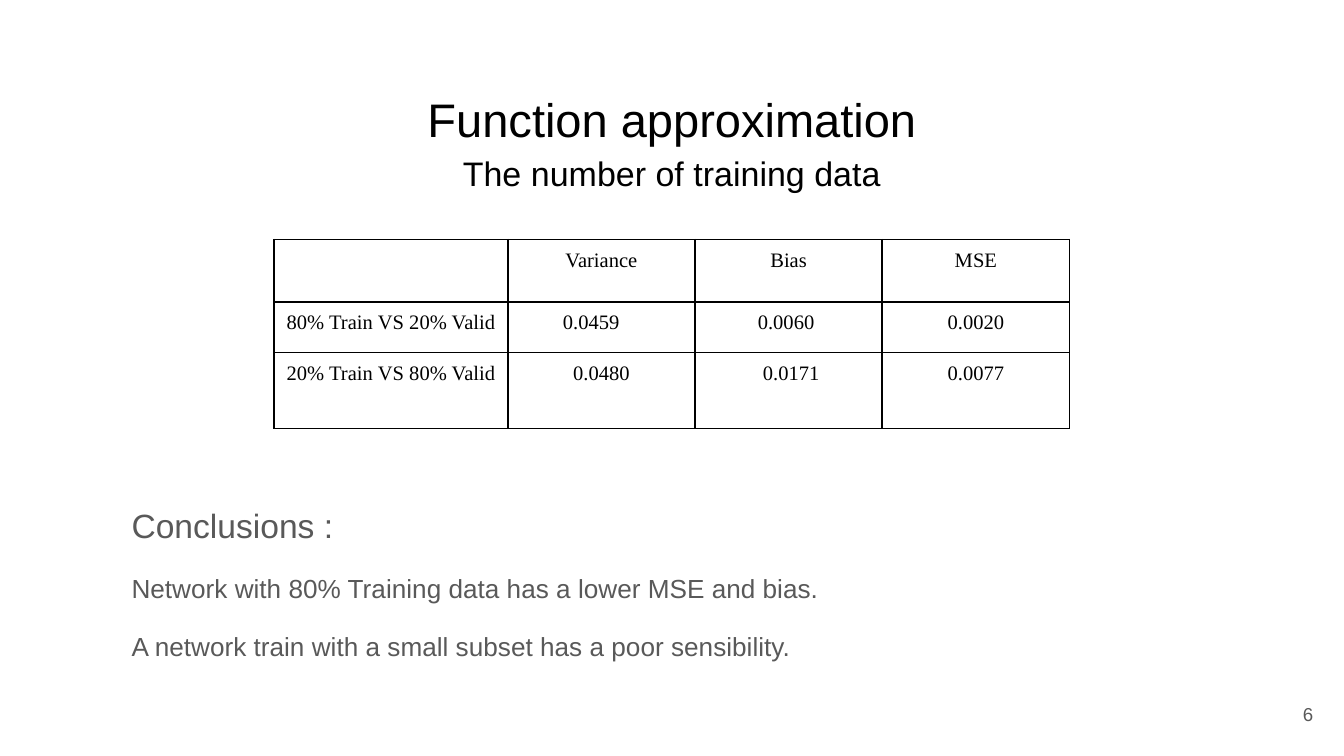
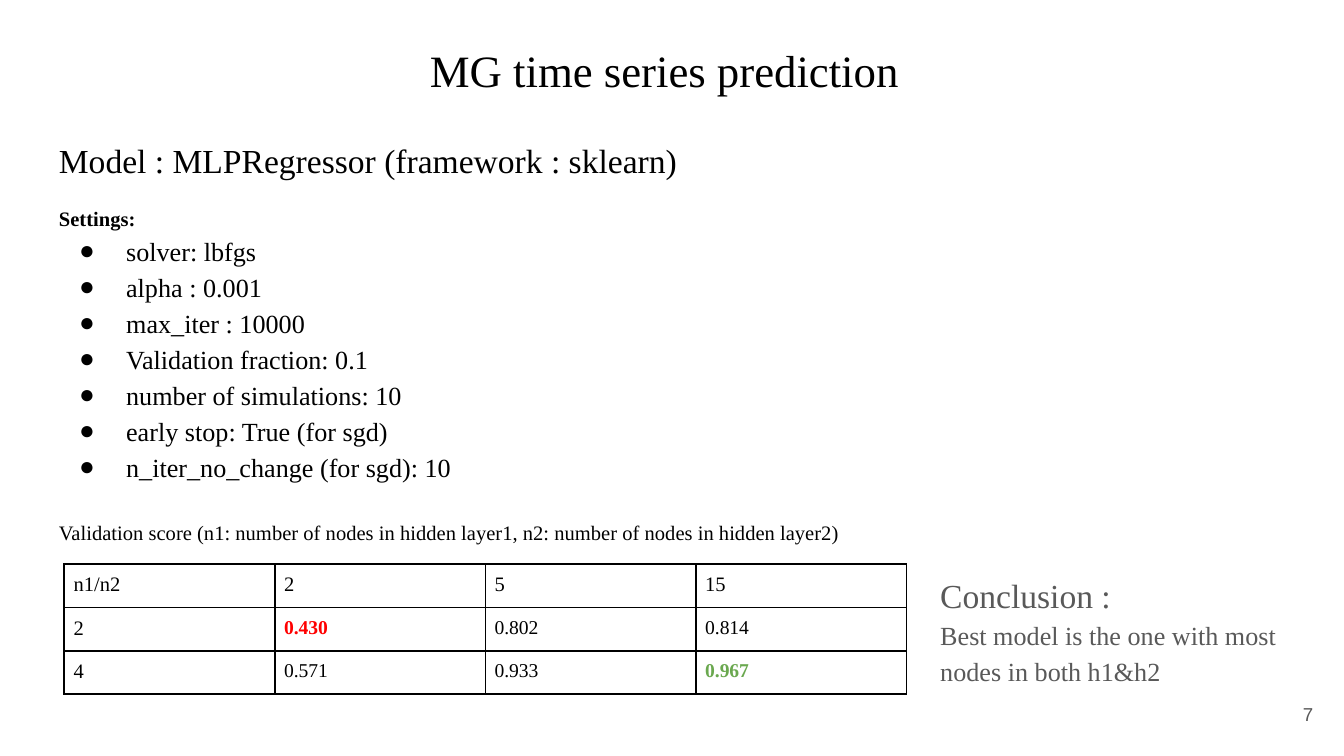
from dataclasses import dataclass, field

from lxml import etree
from pptx import Presentation
from pptx.dml.color import RGBColor
from pptx.enum.text import MSO_ANCHOR as Anchor, PP_ALIGN as Align
from pptx.oxml.ns import qn
from pptx.util import Pt

COLORS = {"text": "000000", "muted": "595959", "page": "FFFFFF",
          "border": "000000", "worst": "FF0000", "best": "6AA84F"}
SANS, SERIF = "Arial", "Times New Roman"
BOX_INSET = 7.2
CELL_INSET = 5


@dataclass
class Line:
    """One paragraph with its format."""
    text: str
    size: float
    font: str = SERIF
    color: str = "text"
    bold: bool = False
    align: Align = Align.LEFT
    spacing: float = 1.15
    before: float = 0
    after: float = 0
    bullet: bool = False


@dataclass
class Cell:
    """A table cell; the pads shift its text sideways."""
    line: Line
    left_pad: float = 0
    right_pad: float = 0


@dataclass
class Grid:
    """Place and track sizes of a table, in points."""
    left: float
    top: float
    columns: list[float]
    rows: list[float]
    cells: list[list[Cell]] = field(default_factory=list)


def rgb(name: str) -> RGBColor:
    return RGBColor.from_string(COLORS[name])


def add_bullet(paragraph, color: str) -> None:
    properties = paragraph._p.get_or_add_pPr()
    properties.set("marL", str(Pt(36)))
    properties.set("indent", str(-Pt(25.2)))
    bullet_color = etree.SubElement(properties, qn("a:buClr"))
    etree.SubElement(bullet_color, qn("a:srgbClr"), val=COLORS[color])
    etree.SubElement(properties, qn("a:buFont"), typeface=SERIF)
    etree.SubElement(properties, qn("a:buChar"), char="●")


def write_line(paragraph, line: Line) -> None:
    paragraph.alignment = line.align
    paragraph.line_spacing = line.spacing
    paragraph.space_before = Pt(line.before)
    paragraph.space_after = Pt(line.after)
    if line.bullet:
        add_bullet(paragraph, line.color)
    if not line.text:
        return
    run = paragraph.add_run()
    run.text = line.text
    run.font.name = line.font
    run.font.size = Pt(line.size)
    run.font.bold = line.bold
    run.font.color.rgb = rgb(line.color)


def add_text(slide, text: str | list[Line], *, left: float, top: float,
             width: float, height: float, anchor: Anchor = Anchor.TOP,
             **line_format) -> None:
    """Add a text box from one string with its format, or from ready lines."""
    shape = slide.shapes.add_textbox(Pt(left), Pt(top), Pt(width), Pt(height))
    frame = shape.text_frame
    frame.word_wrap = True
    frame.vertical_anchor = anchor
    frame.margin_left = frame.margin_right = Pt(BOX_INSET)
    frame.margin_top = frame.margin_bottom = Pt(BOX_INSET)
    lines = [Line(text, **line_format)] if isinstance(text, str) else text
    for index, line in enumerate(lines):
        paragraph = frame.add_paragraph() if index else frame.paragraphs[0]
        write_line(paragraph, line)


def border_cell(cell) -> None:
    properties = cell._tc.get_or_add_tcPr()
    for position, side in enumerate(("a:lnL", "a:lnR", "a:lnT", "a:lnB")):
        border = etree.Element(qn(side), w=str(Pt(1)))
        fill = etree.SubElement(border, qn("a:solidFill"))
        etree.SubElement(fill, qn("a:srgbClr"), val=COLORS["border"])
        properties.insert(position, border)


def add_grid(slide, grid: Grid) -> None:
    frame = slide.shapes.add_table(
        len(grid.rows), len(grid.columns), Pt(grid.left), Pt(grid.top),
        Pt(sum(grid.columns)), Pt(sum(grid.rows)))
    table = frame.table
    table.first_row = table.horz_banding = False
    for column, width in zip(table.columns, grid.columns):
        column.width = Pt(width)
    for row, height, contents in zip(table.rows, grid.rows, grid.cells):
        row.height = Pt(height)
        for cell, content in zip(row.cells, contents):
            cell.fill.background()
            cell.margin_top = cell.margin_bottom = Pt(CELL_INSET)
            cell.margin_left = Pt(CELL_INSET + content.left_pad)
            cell.margin_right = Pt(CELL_INSET + content.right_pad)
            write_line(cell.text_frame.paragraphs[0], content.line)
            border_cell(cell)


def add_page(presentation, number: int):
    """Add a blank slide with the shared background and page number."""
    slide = presentation.slides.add_slide(presentation.slide_layouts[6])
    slide.background.fill.solid()
    slide.background.fill.fore_color.rgb = rgb("page")
    add_text(slide, str(number), left=667.4, top=367.2, width=43.2, height=31,
             anchor=Anchor.MIDDLE, size=10, font=SANS, color="muted",
             align=Align.RIGHT, spacing=1)
    return slide


def build_approximation(presentation) -> None:
    slide = add_page(presentation, 6)

    # Title and subtitle
    heading = {"font": SANS, "align": Align.CENTER}
    add_text(slide, [Line("Function approximation", 25.2, **heading),
                     Line("The number of training data", 18.2, **heading)],
             left=172.8, top=36.7, width=374.4, height=71.3)

    # Error table
    values = [["", "Variance", "Bias", "MSE"],
              ["80% Train VS 20% Valid", "0.0459", "0.0060", "0.0020"],
              ["20% Train VS 80% Valid", "0.0480", "0.0171", "0.0077"]]
    pads = {"0.0459": (0, 11), "0.0060": (0, 2.75), "0.0171": (2.75, 0)}
    cells = [[Cell(Line(value, 11, align=Align.CENTER, spacing=1),
                   *pads.get(value, (0, 0))) for value in row]
             for row in values]
    add_grid(slide, Grid(146.9, 128.4, [125.2] + [100.3] * 3,
                         [33.5, 27, 40.7], cells))

    # Conclusions
    body = {"font": SANS, "color": "muted"}
    add_text(slide, [
        Line("Conclusions :", 18, **body),
        Line("Network with 80% Training data has a lower MSE and bias.", 14,
             before=12, **body),
        Line("A network train with a small subset has a poor sensibility.", 14,
             before=12, after=12, **body),
    ], left=63.4, top=260, width=593.3, height=132.5)


def build_prediction(presentation) -> None:
    slide = add_page(presentation, 7)
    margin = 24.5

    # Title and model
    add_text(slide, "MG time series prediction", size=24,
             left=223.2, top=11.5, width=273.6, height=45.4)
    add_text(slide, "Model : MLPRegressor (framework : sklearn)", size=18,
             left=margin, top=64.8, width=477.4, height=45.4)

    # Settings
    settings = ["solver: lbfgs", "alpha : 0.001", "max_iter : 10000",
                "Validation fraction: 0.1", "number of simulations: 10",
                "early stop: True (for sgd)", "n_iter_no_change (for sgd): 10"]
    add_text(slide, [Line("Settings:", 11, bold=True)]
             + [Line(setting, 14, bullet=True) for setting in settings],
             left=margin, top=101, width=671, height=254.7)

    # Score table
    add_text(slide, "Validation score (n1: number of nodes in hidden layer1, "
             "n2: number of nodes in hidden layer2)", size=11,
             left=margin, top=255.6, width=477.4, height=56.9,
             anchor=Anchor.MIDDLE)
    values = [["n1/n2", "2", "5", "15"],
              ["2", "0.430", "0.802", "0.814"],
              ["4", "0.571", "0.933", "0.967"]]
    marks = {"0.430": "worst", "0.967": "best"}
    cells = [[Cell(Line(value, 10.5 if "." in value else 11, spacing=1,
                        color=marks.get(value, "text"), bold=value in marks))
              for value in row] for row in values]
    add_grid(slide, Grid(34.4, 302.2, [112.8] * 4, [22.3] * 3, cells))

    # Conclusion
    add_text(slide, [
        Line("Conclusion :", 18, color="muted"),
        Line("Best model is the one with most nodes in both h1&h2", 14,
             color="muted"),
    ], left=496.6, top=297.4, width=226, height=76.3)


def main() -> None:
    presentation = Presentation()
    presentation.slide_width, presentation.slide_height = Pt(720), Pt(405)
    build_approximation(presentation)
    build_prediction(presentation)
    presentation.save("out.pptx")


if __name__ == "__main__":
    main()
